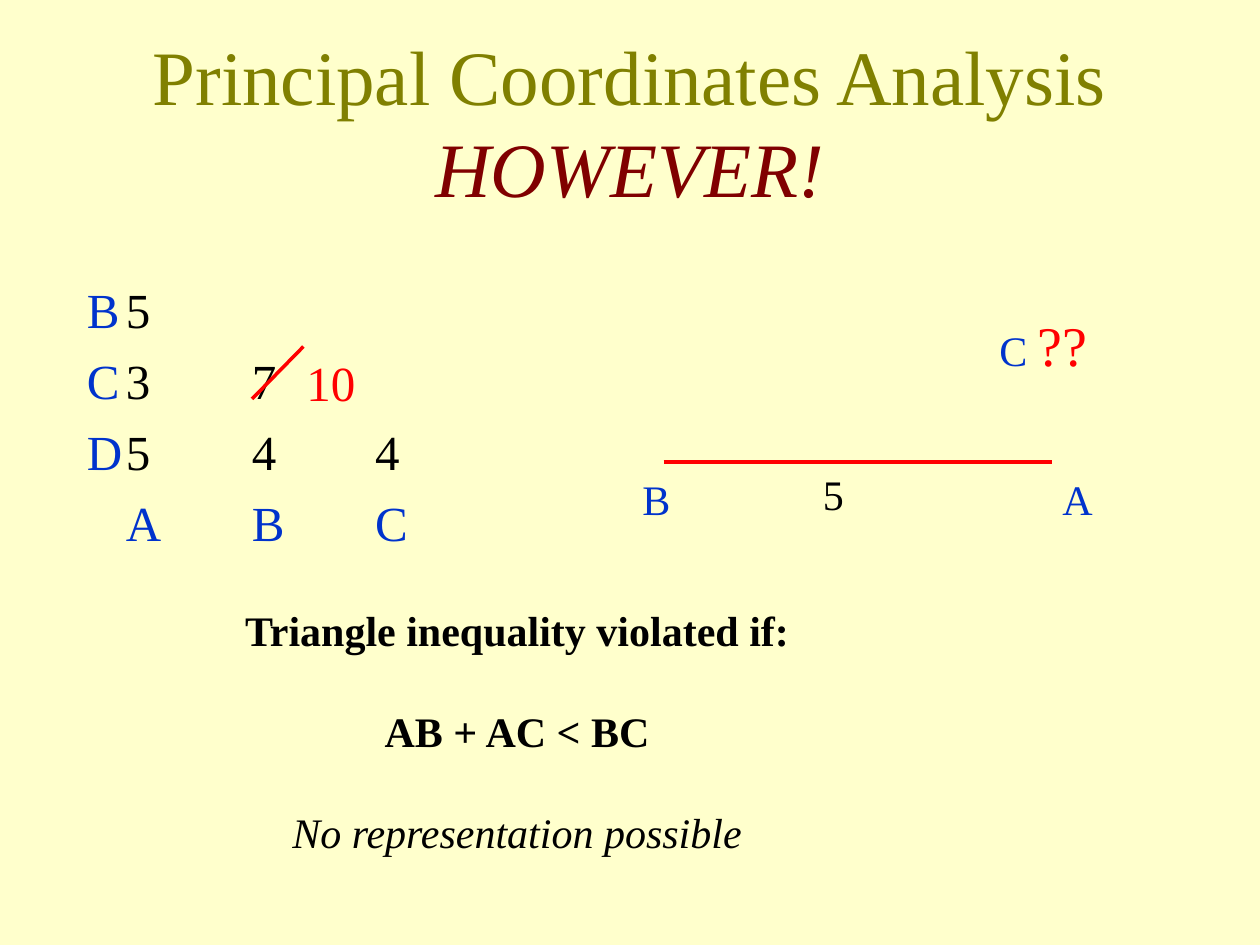
from lxml import etree
from pptx import Presentation
from pptx import util as u
from pptx.dml.color import RGBColor
from pptx.enum import shapes, text
from pptx.oxml.ns import qn

OLIVE, MAROON, BLUE, RED, BLACK, CREAM = (
    "808000", "800000", "0033CC", "FF0000", "000000", "FFFFCC")


def color(value):
    return RGBColor.from_string(value)


def write(paragraph, words, size=24, fill=BLACK, bold=False, italic=False):
    run = paragraph.add_run()
    run.text = words
    font = run.font
    font.name, font.size = "Times New Roman", u.Pt(size)
    font.bold, font.italic = bold, italic
    font.color.rgb = color(fill)


class Board:
    columns, rows = 120, 90

    def __init__(self, deck):
        self.cell_width = deck.slide_width / self.columns
        self.cell_height = deck.slide_height / self.rows
        self.slide = deck.slides.add_slide(deck.slide_layouts[6])
        background = self.slide.background.fill
        background.solid()
        background.fore_color.rgb = color(CREAM)

    def place(self, column, row):
        return round(column * self.cell_width), round(row * self.cell_height)

    def frame(self, column, row, width, height, wrap=False):
        box = self.slide.shapes.add_textbox(*self.place(column, row), *self.place(width, height))
        box.text_frame.word_wrap = wrap
        return box.text_frame

    def label(self, column, row, width, height, *parts):
        paragraph = self.frame(column, row, width, height).paragraphs[0]
        for words, style in parts:
            write(paragraph, words, **style)

    def title(self, column, row, width, height, lines):
        frame = self.frame(column, row, width, height, wrap=True)
        frame.vertical_anchor = text.MSO_ANCHOR.MIDDLE
        heading = frame.paragraphs[0]
        heading.alignment = text.PP_ALIGN.CENTER
        for index, (words, style) in enumerate(lines):
            if index:
                heading.add_line_break()
            write(heading, words, size=44, **style)

    def paragraphs(self, frame, items, gap):
        for index, item in enumerate(items):
            paragraph = frame.add_paragraph() if index else frame.paragraphs[0]
            if index:
                paragraph.space_before = u.Pt(gap)
            yield paragraph, item

    def matrix(self, column, row, width, height, entries):
        frame = self.frame(column, row, width, height, wrap=True)
        for paragraph, (name, values, fill) in self.paragraphs(frame, entries, 7):
            properties = paragraph._p.get_or_add_pPr()
            for setting, inches in (("marL", 0.9), ("indent", -0.31), ("defTabSz", 1)):
                properties.set(setting, str(int(u.Inches(inches))))
            write(paragraph, name + "\t", size=28, fill=BLUE)
            write(paragraph, "\t".join(values), size=28, fill=fill)

    def statement(self, column, row, width, height, lines):
        frame = self.frame(column, row, width, height)
        for paragraph, (words, style) in self.paragraphs(frame, lines, 28.8):
            paragraph.alignment = text.PP_ALIGN.CENTER
            write(paragraph, words, **style)

    def line(self, start, end):
        stroke = self.slide.shapes.add_connector(
            shapes.MSO_CONNECTOR.STRAIGHT, *self.place(*start), *self.place(*end))
        stroke.line.color.rgb = color(RED)
        stroke.line.width = u.Pt(2)
        etree.SubElement(stroke._element.spPr, qn("a:effectLst"))


def main():
    deck = Presentation()
    deck.slide_width, deck.slide_height = u.Inches(10), u.Inches(7.5)
    board = Board(deck)

    board.title(9, 4, 102, 15, [
        ("Principal Coordinates Analysis", dict(fill=OLIVE)),
        ("HOWEVER!", dict(fill=MAROON, italic=True))])
    board.matrix(0, 26, 44, 54, [
        ("B", "5", BLACK), ("C", "37", BLACK), ("D", "544", BLACK), ("", "ABC", BLUE)])

    board.line((63.2, 44), (100.2, 44))
    for column, row, width, words, fill in [
            (100, 44.5, 5.3, "A", BLUE), (60, 44.5, 5, "B", BLUE), (77.2, 44, 4.3, "5", BLACK)]:
        board.label(column, row, width, 6, (words, dict(fill=fill)))

    board.statement(22, 57, 54.5, 28, [
        ("Triangle inequality violated if:", dict(bold=True)),
        ("AB + AC < BC", dict(bold=True)),
        ("No representation possible", dict(italic=True))])

    board.line((24, 38), (28.9, 33))
    board.label(28, 33, 7.5, 6.8, ("10", dict(size=28, fill=RED)))
    board.label(94, 29, 10.8, 7.7, ("C ", dict(fill=BLUE)), ("??", dict(size=32, fill=RED)))

    deck.save("out.pptx")


if __name__ == "__main__":
    main()
